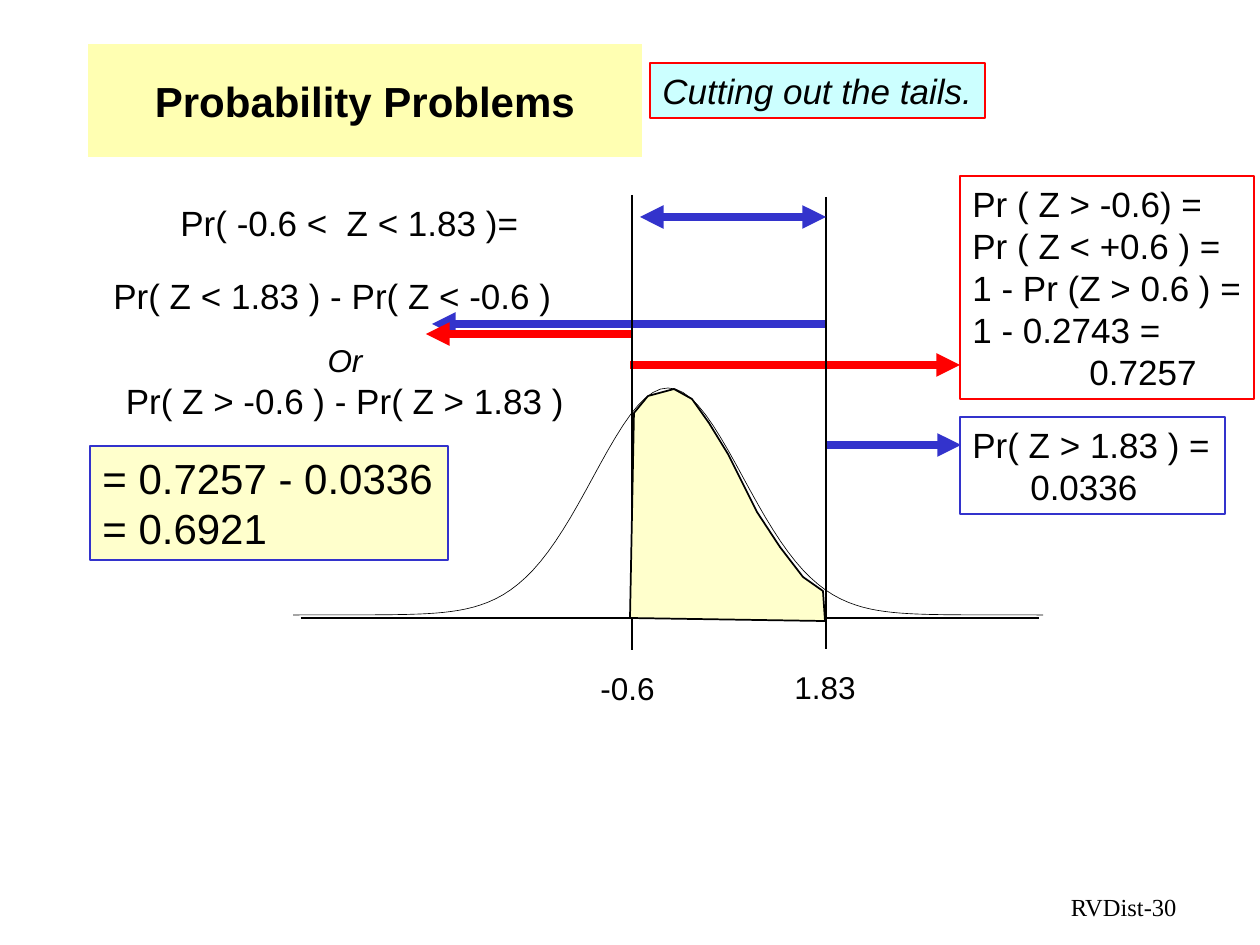
"""Builds the slide on cutting out the tails of a normal curve."""
from math import exp

from lxml.etree import SubElement
from pptx import Presentation
from pptx.dml.color import RGBColor
from pptx.enum.shapes import MSO_CONNECTOR, MSO_SHAPE
from pptx.enum.text import MSO_ANCHOR, MSO_AUTO_SIZE, PP_ALIGN
from pptx.oxml.ns import qn
from pptx.util import Pt

SCALE = 914400 / 126
BLACK, BLUE, RED, CREAM = "000000", "3333CC", "FF0000", "FFFFCC"
LEFT, MID, RIGHT = PP_ALIGN.LEFT, PP_ALIGN.CENTER, PP_ALIGN.RIGHT
LOW, HIGH = 632, 826

TITLE = ("Probability Problems", (88, 44, 554, 113))
FOOTER = ("RVDist-30", (903, 886, 286, 38))

# place, alignment, fill, border, lines of (text, size, italic, indent)
BOXES = [
    ((168, 195, 363, 55), LEFT, None, None, [("Pr( -0.6 <  Z < 1.83 )=", 20, False, 0)]),
    ((650, 63, 335, 55), LEFT, "CCFFFF", RED, [("Cutting out the tails.", 20, True, 0)]),
    ((101, 268, 464, 55), LEFT, None, None, [("Pr( Z < 1.83 ) - Pr( Z < -0.6 )", 20, False, 0)]),
    ((113, 335, 464, 93), MID, None, None, [
        ("Or", 18, True, 0),
        ("Pr( Z > -0.6 ) - Pr( Z > 1.83 )", 20, False, 0)]),
    ((960, 176, 294, 223), LEFT, None, RED, [
        ("Pr ( Z > -0.6) =", 20, False, 0),
        ("Pr ( Z < +0.6 ) =", 20, False, 0),
        ("1 - Pr (Z > 0.6 ) =", 20, False, 0),
        ("1 - 0.2743 =", 20, False, 0),
        ("0.7257", 20, False, 117)]),
    ((960, 417, 265, 97), LEFT, None, BLUE, [
        ("Pr( Z > 1.83 ) =", 20, False, 0),
        ("0.0336", 20, False, 58)]),
    ((90, 446, 358, 114), LEFT, CREAM, BLUE, [
        ("= 0.7257 - 0.0336", 24, False, 0),
        ("= 0.6921", 24, False, 0)]),
    ((782, 662, 90, 50), LEFT, None, None, [("1.83", 18, False, 0)]),
    ((588, 663, 83, 50), LEFT, None, None, [("-0.6", 18, False, 0)]),
]

# start, end, colour, width, arrowheads
LINES = [
    ((301, 618), (1039, 618), BLACK, 1, ()),
    ((HIGH, 324), (432, 324), BLUE, 4.5, ("tailEnd",)),
    ((LOW, 334), (426, 334), RED, 4.5, ("tailEnd",)),
    ((630, 365), (960, 365), RED, 4.5, ("tailEnd",)),
    ((HIGH, 445), (961, 445), BLUE, 4.5, ("tailEnd",)),
    ((HIGH, 197), (HIGH, 649), BLACK, 1, ()),
    ((LOW, 195), (LOW, 650), BLACK, 1, ()),
    ((640, 217), (HIGH, 217), BLUE, 4.5, ("headEnd", "tailEnd")),
]

PEAK, TOP, BASE, SIGMA, STEPS = 668, 388, 615, 75, 100
AREA = [(634, 413), (630, 618), (825, 621), (823, 591), (803, 577), (780, 547),
        (757, 512), (728, 454), (709, 423), (692, 399), (674, 389), (648, 396)]


def px(*nums):
    return [round(n * SCALE) for n in nums]


def hue(text):
    return RGBColor.from_string(text)


def paint(shape, fill, edge, width=1):
    shape.shadow.inherit = False
    if fill:
        shape.fill.solid()
        shape.fill.fore_color.rgb = hue(fill)
    else:
        shape.fill.background()
    if edge:
        shape.line.color.rgb = hue(edge)
        shape.line.width = Pt(width)
    else:
        shape.line.fill.background()


def write(para, text, size, face="Arial", bold=False, slant=False):
    run = para.add_run()
    run.text = text
    font = run.font
    font.name, font.size, font.bold, font.italic = face, Pt(size), bold, slant
    font.color.rgb = hue(BLACK)


def add_box(slide, place, align, fill, edge, rows):
    if fill or edge:
        box = slide.shapes.add_shape(MSO_SHAPE.RECTANGLE, *px(*place))
        paint(box, fill, edge)
    else:
        box = slide.shapes.add_textbox(*px(*place))
    frame = box.text_frame
    frame.word_wrap = False
    frame.auto_size = MSO_AUTO_SIZE.SHAPE_TO_FIT_TEXT
    frame.vertical_anchor = MSO_ANCHOR.TOP
    for i, (text, size, slant, indent) in enumerate(rows):
        para = frame.add_paragraph() if i else frame.paragraphs[0]
        para.alignment = align
        if indent:
            para._p.get_or_add_pPr().set("marL", str(px(indent)[0]))
        write(para, text, size, slant=slant)


def add_line(slide, start, end, color, width, heads):
    line = slide.shapes.add_connector(MSO_CONNECTOR.STRAIGHT, *px(*start, *end))
    line.line.color.rgb = hue(color)
    line.line.width = Pt(width)
    for head in heads:
        SubElement(line.line._get_or_add_ln(), qn("a:" + head), type="triangle")
    SubElement(line._element.spPr, qn("a:effectLst"))


def add_path(slide, points, close, fill, width):
    first, *rest = [px(*point) for point in points]
    form = slide.shapes.build_freeform(*first)
    form.add_line_segments(rest, close=close)
    paint(form.convert_to_shape(), fill, BLACK, width)


def add_title(slide):
    text, place = TITLE
    title = slide.shapes.title
    title.left, title.top, title.width, title.height = px(*place)
    title.fill.solid()
    title.fill.fore_color.rgb = hue("FFFF66")
    tint = title.fill._xPr.find(qn("a:solidFill"))[0]
    SubElement(tint, qn("a:alpha"), val="50000")
    title.text_frame.vertical_anchor = MSO_ANCHOR.MIDDLE
    para = title.text_frame.paragraphs[0]
    para.alignment = MID
    write(para, text, 24, bold=True)


def add_footer(slide):
    text, place = FOOTER
    frame = slide.shapes.add_textbox(*px(*place)).text_frame
    frame.word_wrap = True
    para = frame.paragraphs[0]
    para.alignment = RIGHT
    write(para, text, 14, "Times New Roman")


def bell():
    zs = [-5 + 10 * i / STEPS for i in range(STEPS + 1)]
    return [(PEAK + SIGMA * z, BASE - (BASE - TOP) * exp(-z * z / 2)) for z in zs]


def main():
    deck = Presentation()
    deck.slide_width, deck.slide_height = px(1260, 945)
    slide = deck.slides.add_slide(deck.slide_layouts[5])
    add_title(slide)
    add_footer(slide)
    add_path(slide, bell(), False, None, 0.37)
    for box in BOXES:
        add_box(slide, *box)
    for line in LINES:
        add_line(slide, *line)
    add_path(slide, AREA, True, CREAM, 1)
    deck.save("out.pptx")


if __name__ == "__main__":
    main()
